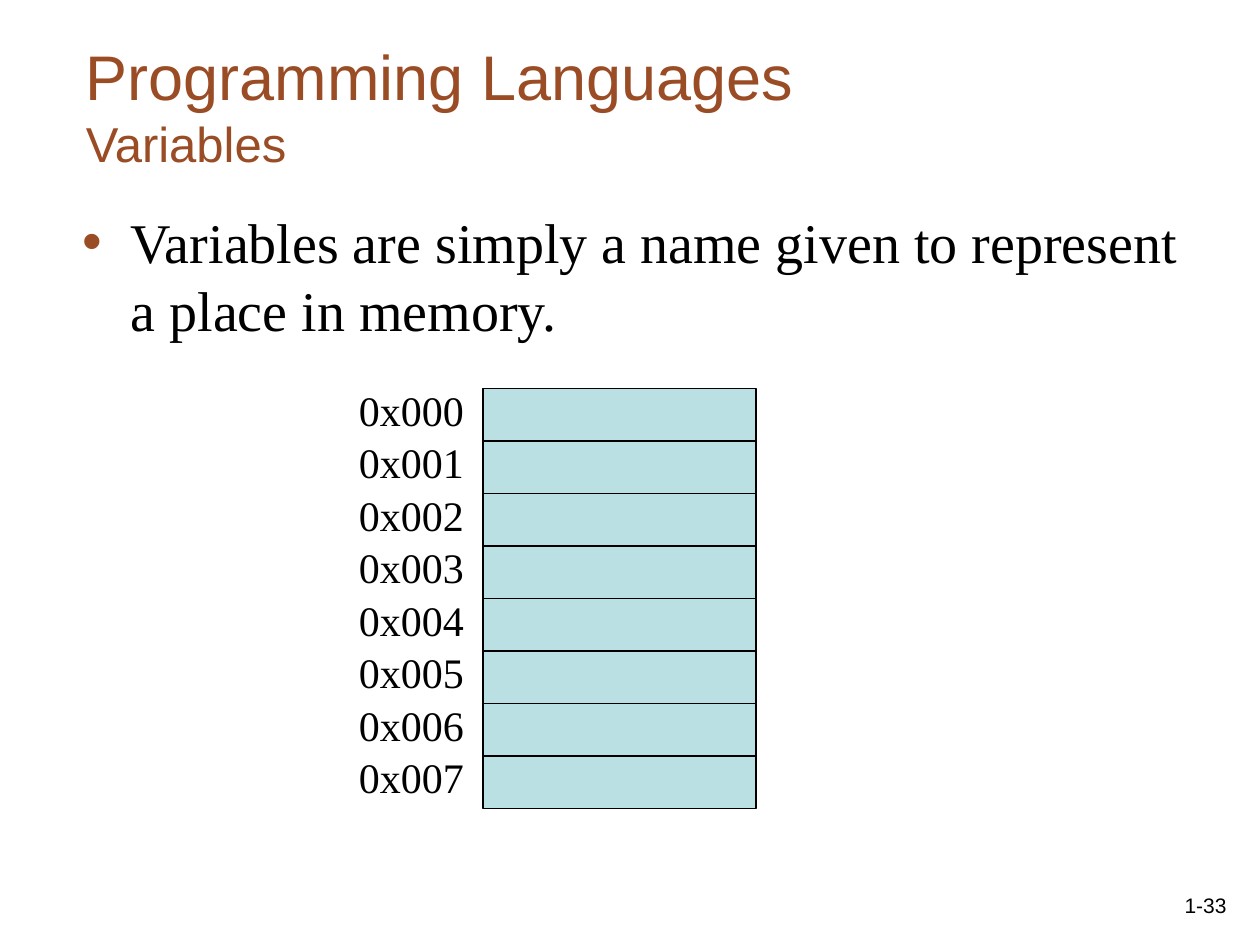
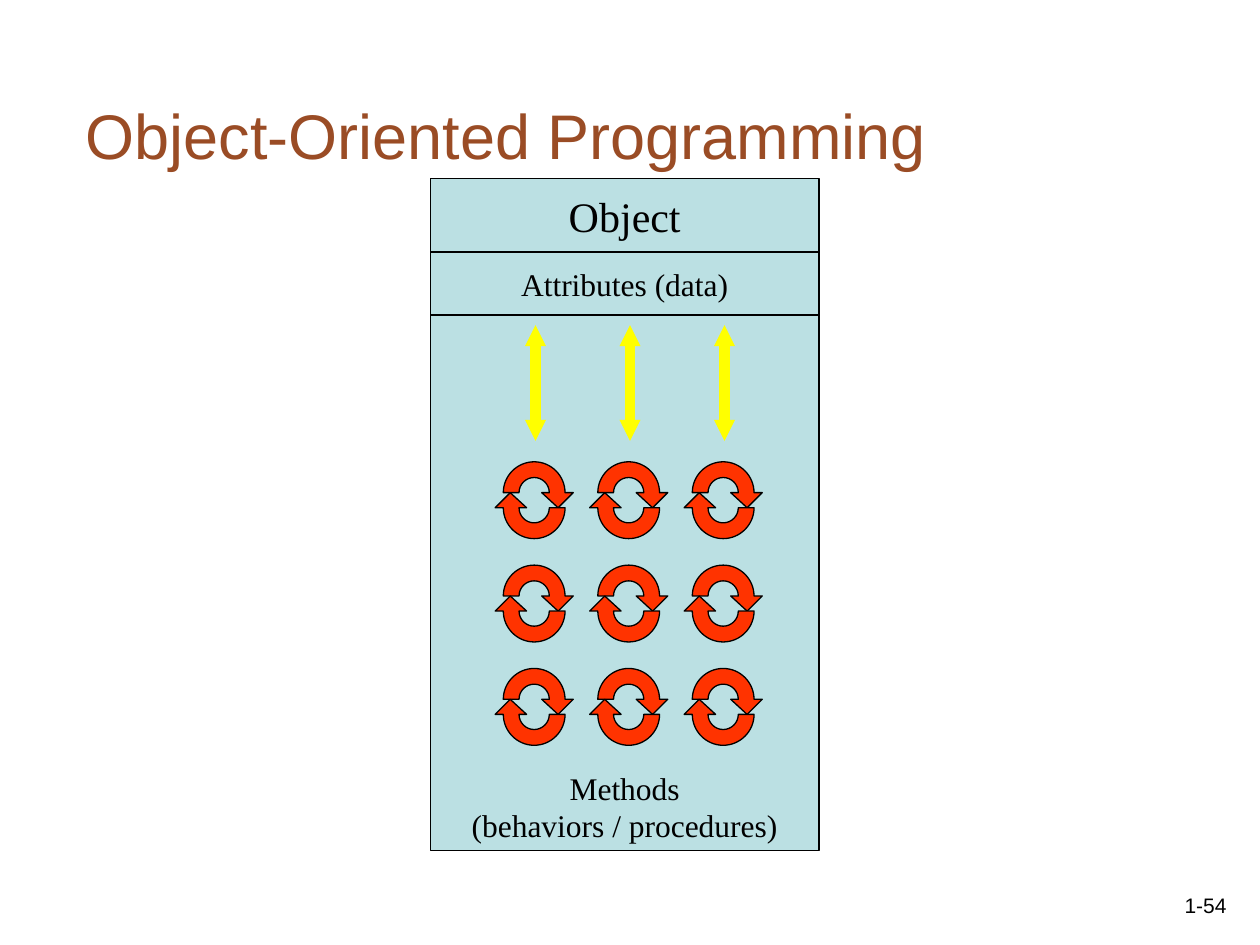
from lxml import etree
from pptx import Presentation
from pptx import util as u
from pptx.dml.color import RGBColor
from pptx.enum import shapes, text
from pptx.oxml import ns

RUST, BLACK, PALE_BLUE = "9A4C25", "000000", "BBE0E3"
RED, YELLOW = "FF3300", "FFFF00"
SANS, SERIF = "Arial", "Times New Roman"
TOP, MIDDLE, BOTTOM = text.MSO_ANCHOR.TOP, text.MSO_ANCHOR.MIDDLE, text.MSO_ANCHOR.BOTTOM
LEFT, CENTER, RIGHT = text.PP_ALIGN.LEFT, text.PP_ALIGN.CENTER, text.PP_ALIGN.RIGHT


def color(hex_value):
    return RGBColor.from_string(hex_value)


def twelfths(*counts):
    return [count / 12 for count in counts]


def add_element(parent, tag, **attributes):
    return etree.SubElement(parent, ns.qn(tag), attributes)


def write(shape, lines, font, hex_value, align=LEFT, anchor=TOP, wrap=True):
    frame = shape.text_frame
    frame.word_wrap = wrap
    frame.vertical_anchor = anchor
    paragraph = frame.paragraphs[0]
    paragraph.alignment = align
    for index, (line, size) in enumerate(lines):
        if index:
            paragraph.add_line_break()
        run = paragraph.add_run()
        run.text = line
        run.font.size = u.Pt(size)
        run.font.name = font
        run.font.color.rgb = color(hex_value)
    return paragraph


def add_text(slide, box, lines, font, hex_value, **layout):
    shape = slide.shapes.add_textbox(*map(u.Inches, box))
    return shape, write(shape, lines, font, hex_value, **layout)


def paint(shape, fill):
    shape.shadow.inherit = False
    shape.fill.solid()
    shape.fill.fore_color.rgb = color(fill)
    shape.line.color.rgb = color(BLACK)
    shape.line.width = u.Pt(0.75)


def add_box(slide, box, lines=(), anchor=MIDDLE):
    shape = slide.shapes.add_shape(shapes.MSO_SHAPE.RECTANGLE, *map(u.Inches, box))
    paint(shape, PALE_BLUE)
    if lines:
        write(shape, lines, SERIF, BLACK, align=CENTER, anchor=anchor, wrap=False)


def add_bullet(slide, box, line):
    shape, paragraph = add_text(slide, box, [(line, 32)], SERIF, BLACK)
    shape.text_frame.margin_right = 0
    paragraph.space_before = u.Pt(8)
    properties = paragraph._p.get_or_add_pPr()
    indent = u.Inches(0.38)
    properties.set("marL", str(indent))
    properties.set("indent", str(-indent))
    bullet_color = add_element(properties, "a:buClr")
    add_element(bullet_color, "a:srgbClr", val=RUST)
    add_element(properties, "a:buFont", typeface=SANS)
    add_element(properties, "a:buChar", char="•")


def add_double_arrow(slide, x, top, bottom):
    connector = slide.shapes.add_connector(
        shapes.MSO_CONNECTOR.STRAIGHT, *map(u.Inches, (x, bottom, x, top)))
    connector.line.color.rgb = color(YELLOW)
    connector.line.width = u.Pt(6)
    line = connector.line._get_or_add_ln()
    for end in ("a:headEnd", "a:tailEnd"):
        add_element(line, end, type="triangle", w="sm", len="sm")
    add_element(connector._element.spPr, "a:effectLst")


def half_circle(radius, side):
    handle = 0.55 * radius
    return [(side * radius, -handle), (side * handle, -radius), (0, -radius),
            (-side * handle, -radius), (-side * radius, -handle), (-side * radius, 0)]


def bend(shape, curve_starts):
    lines = list(shape._element.iter(ns.qn("a:lnTo")))
    for start in curve_starts:
        first, *others = lines[start:start + 3]
        curve = etree.Element(ns.qn("a:cubicBezTo"))
        first.addprevious(curve)
        for line in (first, *others):
            curve.append(line[0])
            line.getparent().remove(line)


def add_cycle(slide, center_x, center_y):
    gap, inner, outer = 0.06, 0.12, 0.245
    head = [(0.31, 0), (0.19, 0.12), (0.06, 0)]
    outline = [(inner, 0), *half_circle(inner, 1), (-outer, 0), *half_circle(outer, -1), *head]
    for turn in (1, -1):
        points = [(u.Inches(center_x + turn * x), u.Inches(center_y + turn * (y - gap)))
                  for x, y in outline]
        builder = slide.shapes.build_freeform(*points[0])
        builder.add_line_segments(points[1:], close=True)
        shape = builder.convert_to_shape()
        bend(shape, (0, 3, 7, 10))
        paint(shape, RED)


def add_page(presentation, title_lines, number):
    slide = presentation.slides.add_slide(presentation.slide_layouts[6])
    add_text(slide, twelfths(93, 82, 25, 6), [(number, 12)], SANS, BLACK,
             align=RIGHT, anchor=BOTTOM)
    add_text(slide, twelfths(7, 4, 113, 13), title_lines, SANS, RUST, anchor=BOTTOM)
    return slide


def build_variables(presentation):
    slide = add_page(presentation, [("Programming Languages", 36), ("Variables", 28)], "1-33")
    add_bullet(slide, (0.56, 1.6, 9.07, 1.29),
               "Variables are simply a name given to represent a place in memory.")
    for address in range(8):
        top = 37 + address * 5
        add_box(slide, twelfths(46, top, 26, 5))
        label, _ = add_text(slide, (2.75, (top - 1) / 12, 1.03, 0.5),
                            [(f"0x{address:03}", 24)], SERIF, BLACK, wrap=False)
        label.text_frame.auto_size = text.MSO_AUTO_SIZE.SHAPE_TO_FIT_TEXT


def build_object(presentation):
    slide = add_page(presentation, [("Object-Oriented Programming", 36)], "1-54")
    left, width = 41, 37
    add_box(slide, twelfths(left, 17, width, 7), [("Object", 24)])
    add_box(slide, twelfths(left, 24, width, 6), [("Attributes (data)", 18)])
    add_box(slide, twelfths(left, 30, width, 51),
            [("Methods", 18), ("(behaviors / procedures)", 18)], anchor=BOTTOM)
    for column in range(3):
        offset = column * 0.75
        for row in range(3):
            add_cycle(slide, 4.24 + offset, 3.97 + row * 0.82)
        add_double_arrow(slide, 4.25 + offset, 2.58, 3.5)


def main():
    presentation = Presentation()
    presentation.slide_width = u.Inches(10)
    presentation.slide_height = u.Inches(7.5)
    build_variables(presentation)
    build_object(presentation)
    presentation.save("out.pptx")


if __name__ == "__main__":
    main()
